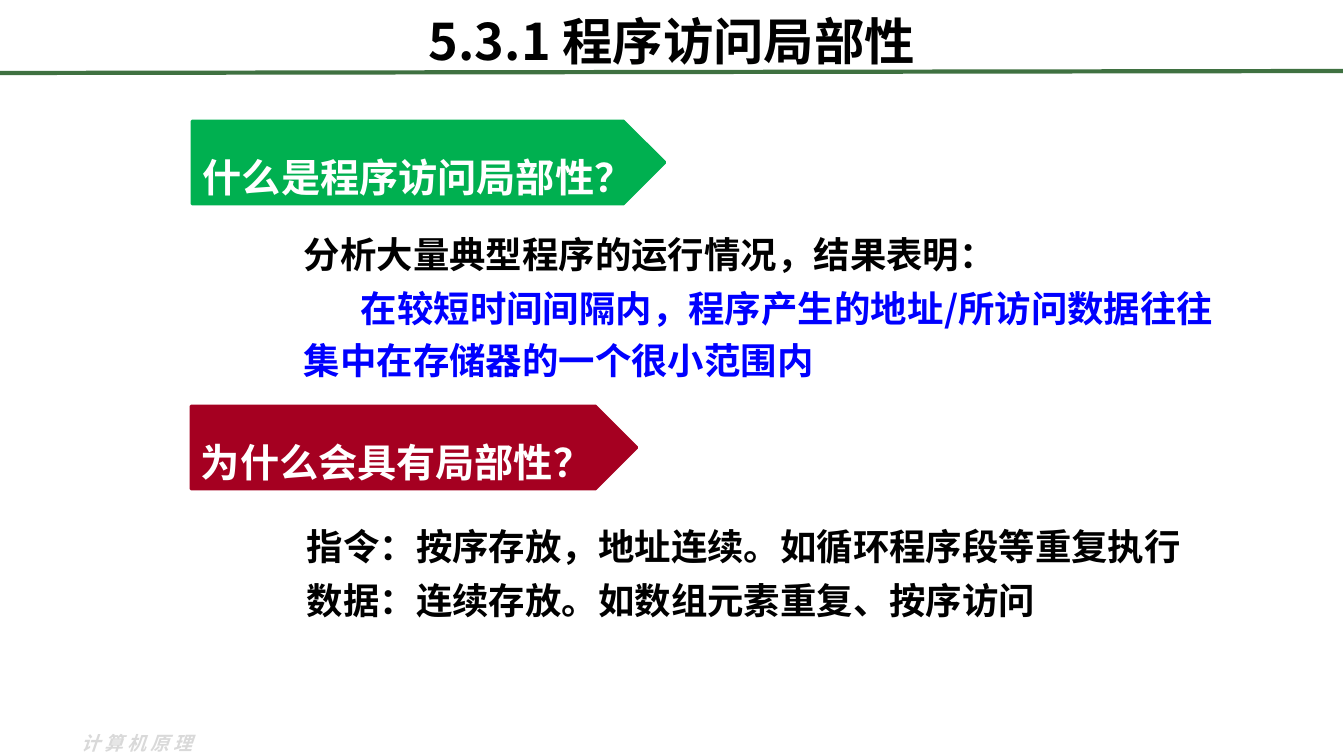
from lxml.etree import SubElement
from pptx import Presentation
from pptx.dml.color import RGBColor
from pptx.enum.shapes import MSO_CONNECTOR as Connector, MSO_SHAPE as Shape
from pptx.enum.text import MSO_ANCHOR as Anchor, PP_ALIGN as Align
from pptx.oxml.ns import qn
from pptx.util import Emu, Pt

CJK = "Noto Sans CJK SC"
BLACK, WHITE, BLUE = "000000", "FFFFFF", "0000FF"
GREEN, RED, RULE, PALE = "00B050", "A50021", "3F7141", "D9D9D9"


def px(length):
    return Emu(round(length * 914400 / 100.8))


def color(hex_code):
    return RGBColor.from_string(hex_code)


def style(paragraph, size, hex_code, latin=CJK, spacing=None):
    """Set bold type for Latin and Chinese text; spacing is in 1/100 pt."""
    font = paragraph.font
    font.size, font.bold, font.name = Pt(size), True, latin
    font.color.rgb = color(hex_code)
    properties = paragraph._p.pPr.find(qn("a:defRPr"))
    SubElement(properties, qn("a:ea")).set("typeface", CJK)
    if spacing:
        properties.set("spc", str(spacing))


def add_text_frame(slide, box):
    frame = slide.shapes.add_textbox(*map(px, box)).text_frame
    frame.word_wrap = True
    return frame


def add_title(slide, box, text):
    frame = add_text_frame(slide, box)
    frame.vertical_anchor = Anchor.MIDDLE
    title = frame.paragraphs[0]
    title.text, title.alignment = text, Align.CENTER
    style(title, 36, BLACK)


def add_title_rule(slide, start, end):
    rule = slide.shapes.add_connector(Connector.STRAIGHT, *map(px, start + end))
    rule.line.color.rgb, rule.line.width = color(RULE), Pt(3)
    SubElement(rule._element.spPr, qn("a:effectLst"))


def add_question(slide, box, text, hex_code, align):
    plate = slide.shapes.add_shape(Shape.PENTAGON, *map(px, box))
    plate.shadow.inherit = False
    plate.fill.solid()
    plate.fill.fore_color.rgb = plate.line.color.rgb = color(hex_code)
    plate.line.width = Pt(2)
    plate.text_frame.vertical_anchor = Anchor.MIDDLE
    question = plate.text_frame.paragraphs[0]
    question.text, question.alignment = text, align
    question.line_spacing = 1.6
    style(question, 28, WHITE, "DejaVu Sans")


def add_answer(slide, box, statements):
    """Place (text, colour, first-line indent) statements one below another."""
    frame = add_text_frame(slide, box)
    for number, (text, hex_code, indent) in enumerate(statements):
        statement = frame.paragraphs[0] if number == 0 else frame.add_paragraph()
        statement.text, statement.line_spacing = text, 1.2
        if number:
            statement.space_before = Pt(1.3)
        properties = statement._p.get_or_add_pPr()
        properties.set("marL", str(px(50)))
        properties.set("indent", str(px(indent)))
        style(statement, 26, hex_code)


def add_course_name(slide, box, text):
    course = add_text_frame(slide, box).paragraphs[0]
    course.text = text
    course.font.italic = True
    style(course, 13.5, PALE, spacing=300)


def add_locality_slide(prs):
    slide = prs.slides.add_slide(prs.slide_layouts[6])
    add_course_name(slide, (72, 727, 147, 34), "计算机原理")
    add_title_rule(slide, (0, 73), (1343, 71))
    add_title(slide, (67, -3, 1210, 86), "5.3.1 程序访问局部性")
    add_question(slide, (192, 121, 473, 83), "什么是程序访问局部性？", GREEN, Align.CENTER)
    add_answer(slide, (244, 218, 1005, 167), [
        ("分析大量典型程序的运行情况，结果表明：", BLACK, 0),
        ("在较短时间间隔内，程序产生的地址/所访问数据往往集中在存储器的一个很小范围内", BLUE, 57),
    ])
    add_question(slide, (191, 406, 446, 83), "为什么会具有局部性？", RED, Align.LEFT)
    add_answer(slide, (247, 510, 996, 115), [
        ("指令：按序存放，地址连续。如循环程序段等重复执行", BLACK, 0),
        ("数据：连续存放。如数组元素重复、按序访问", BLACK, 0),
    ])


def main():
    prs = Presentation()
    prs.slide_width, prs.slide_height = px(1344), px(756)
    add_locality_slide(prs)
    prs.save("out.pptx")


if __name__ == "__main__":
    main()
